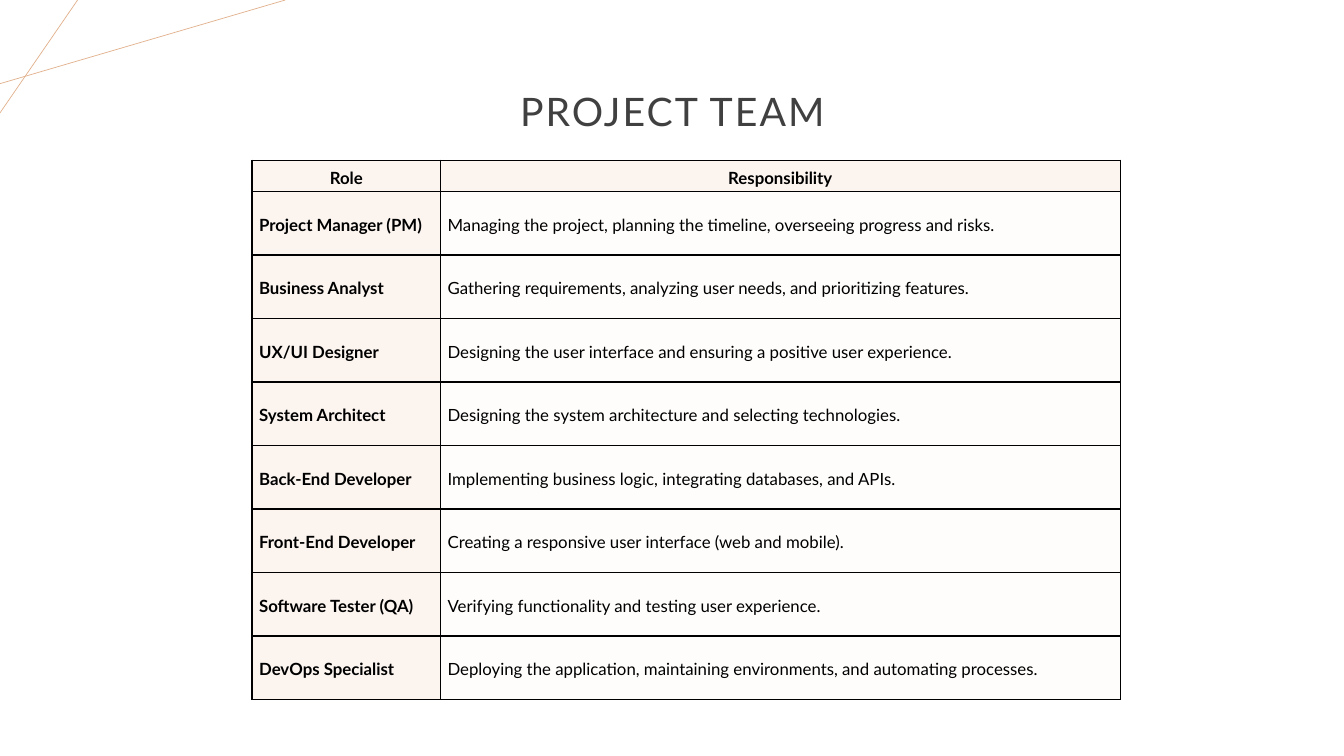
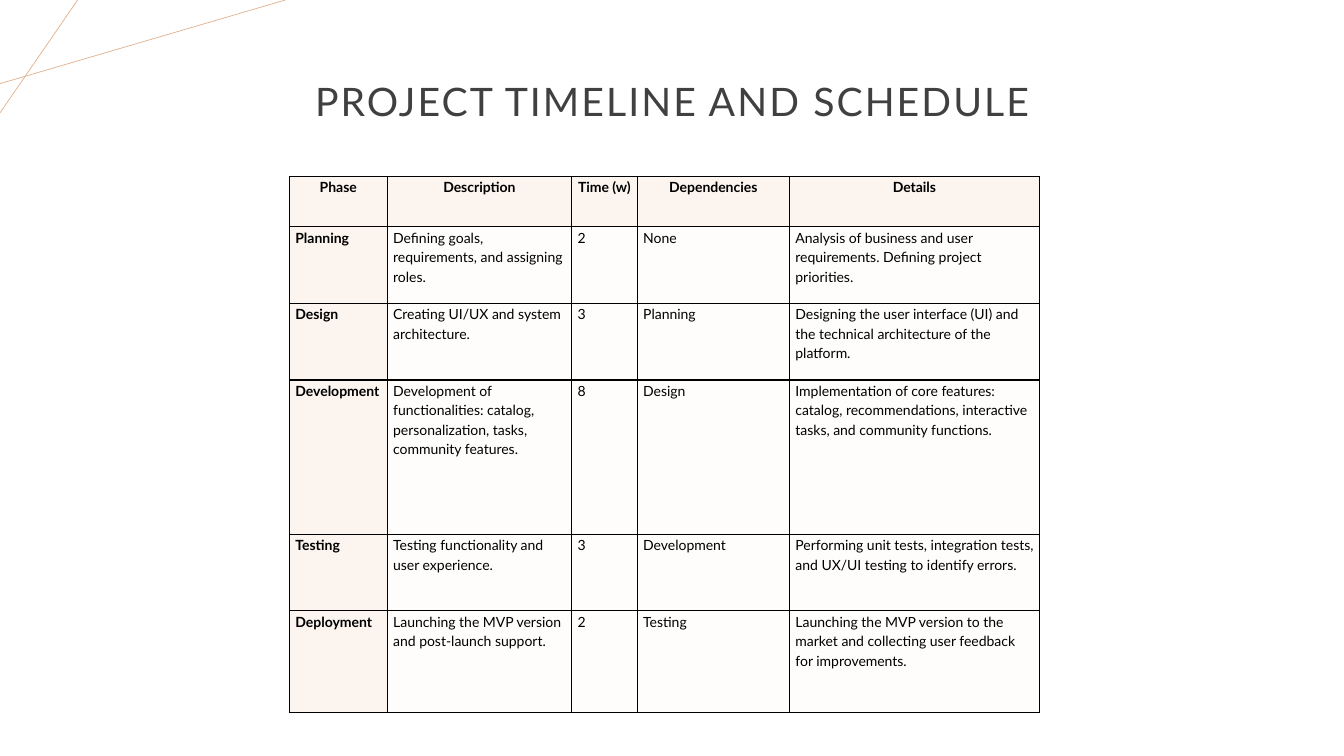
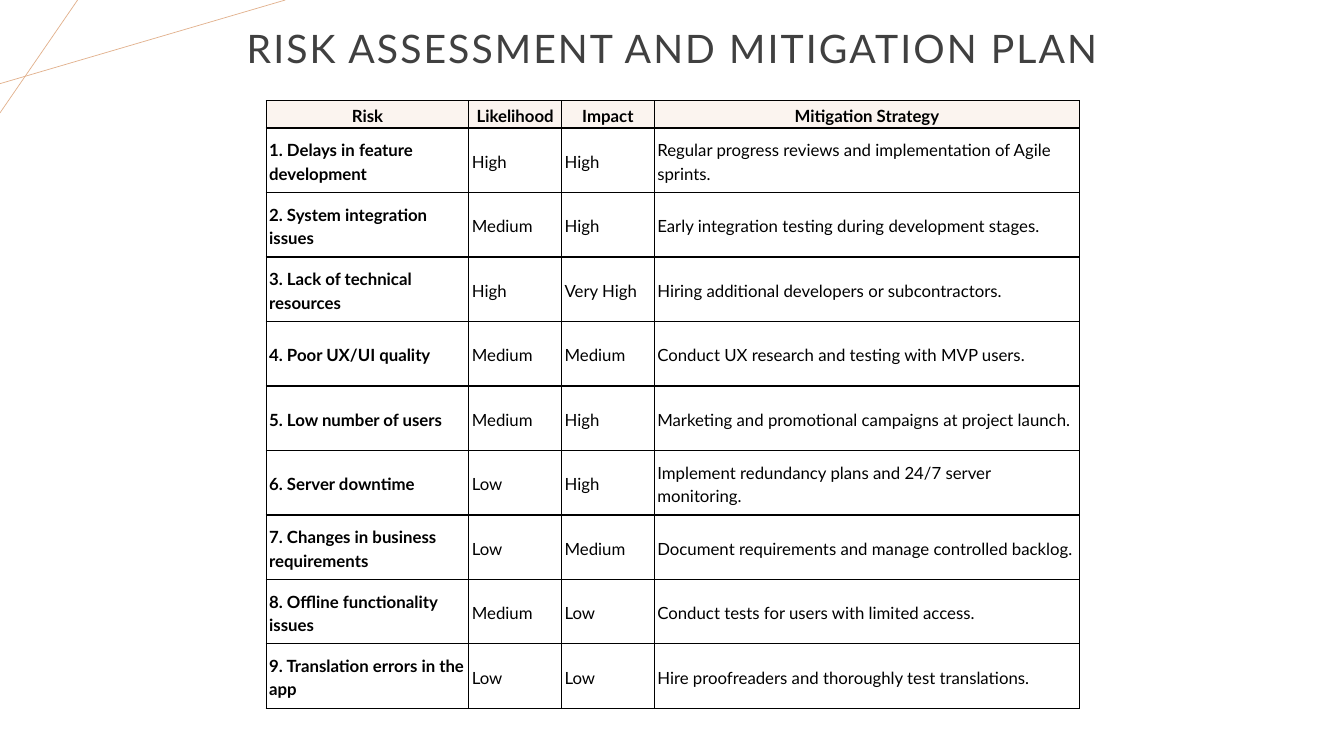
"""Builds three project slides: team, timeline and risk tables."""
from dataclasses import dataclass

from lxml.etree import SubElement
from pptx import Presentation
from pptx.dml.color import RGBColor
from pptx.enum.text import MSO_ANCHOR, PP_ALIGN
from pptx.oxml.ns import qn
from pptx.util import Inches, Pt


@dataclass(frozen=True)
class Theme:
    font: str = "Lato"
    title: str = "404040"
    text: str = "000000"
    edge: str = "000000"
    head: str = "FBF4EF"
    body: str = "FEFDFC"
    plain: str = "FFFFFF"
    accent: str = "E2B18D"
    big: int = 28
    mid: int = 12
    small: int = 10


THEME = Theme()

RAYS = [((0, 0.83), (2.83, 0)), ((0.77, 0), (0, 1.12))]

SLIDES = [
    {
        "title": "PROJECT TEAM",
        "top": 0.4, "height": 1.45,
        "at": (2.5, 1.59),
        "cols": [1.87, 6.74],
        "rows": [0.31] + [0.63] * 8,
        "size": THEME.mid, "inset": 0.07, "anchor": MSO_ANCHOR.MIDDLE,
        "side": THEME.head, "fill": THEME.body,
        "cells": [
            ("Role", "Responsibility"),
            ("Project Manager (PM)", "Managing the project, planning the timeline, overseeing progress and risks."),
            ("Business Analyst", "Gathering requirements, analyzing user needs, and prioritizing features."),
            ("UX/UI Designer", "Designing the user interface and ensuring a positive user experience."),
            ("System Architect", "Designing the system architecture and selecting technologies."),
            ("Back-End Developer", "Implementing business logic, integrating databases, and APIs."),
            ("Front-End Developer", "Creating a responsive user interface (web and mobile)."),
            ("Software Tester (QA)", "Verifying functionality and testing user experience."),
            ("DevOps Specialist", "Deploying the application, maintaining environments, and automating processes."),
        ],
    },
    {
        "title": "PROJECT TIMELINE AND SCHEDULE",
        "top": 0.3, "height": 1.45,
        "at": (2.87, 1.75),
        "cols": [0.97, 1.83, 0.65, 1.51, 2.48],
        "rows": [0.5, 0.76, 0.76, 1.53, 0.76, 1.01],
        "size": THEME.small, "inset": 0.06, "anchor": MSO_ANCHOR.TOP,
        "side": THEME.head, "fill": THEME.body,
        "cells": [
            ("Phase", "Description", "Time (w)", "Dependencies", "Details"),
            ("Planning", "Defining goals, requirements, and assigning roles.", "2", "None",
             "Analysis of business and user requirements. Defining project priorities."),
            ("Design", "Creating UI/UX and system architecture.", "3", "Planning",
             "Designing the user interface (UI) and the technical architecture of the platform."),
            ("Development", "Development of functionalities: catalog, personalization, tasks, community features.",
             "8", "Design",
             "Implementation of core features: catalog, recommendations, interactive tasks, and community functions."),
            ("Testing", "Testing functionality and user experience.", "3", "Development",
             "Performing unit tests, integration tests, and UX/UI testing to identify errors."),
            ("Deployment", "Launching the MVP version and post-launch support.", "2", "Testing",
             "Launching the MVP version to the market and collecting user feedback for improvements."),
        ],
    },
    {
        "title": "RISK ASSESSMENT AND MITIGATION PLAN",
        "top": 0, "height": 1,
        "at": (2.64, 1),
        "cols": [2.01, 0.92, 0.92, 4.22],
        "rows": [0.27] + [0.64] * 9,
        "size": THEME.mid, "inset": 0.03, "anchor": MSO_ANCHOR.MIDDLE,
        "side": THEME.plain, "fill": THEME.plain,
        "cells": [
            ("Risk", "Likelihood", "Impact", "Mitigation Strategy"),
            ("1. Delays in feature development", "High", "High",
             "Regular progress reviews and implementation of Agile sprints."),
            ("2. System integration issues", "Medium", "High",
             "Early integration testing during development stages."),
            ("3. Lack of technical resources", "High", "Very High",
             "Hiring additional developers or subcontractors."),
            ("4. Poor UX/UI quality", "Medium", "Medium", "Conduct UX research and testing with MVP users."),
            ("5. Low number of users", "Medium", "High", "Marketing and promotional campaigns at project launch."),
            ("6. Server downtime", "Low", "High", "Implement redundancy plans and 24/7 server monitoring."),
            ("7. Changes in business requirements", "Low", "Medium",
             "Document requirements and manage controlled backlog."),
            ("8. Offline functionality issues", "Medium", "Low", "Conduct tests for users with limited access."),
            ("9. Translation errors in the app", "Low", "Low", "Hire proofreaders and thoroughly test translations."),
        ],
    },
]


def apply(item, values):
    for name, value in values.items():
        setattr(item, name, value)


def write(frame, text, size, color, bold=False, **para):
    line = frame.paragraphs[0]
    apply(line, para)
    run = line.add_run()
    run.text = text
    apply(run.font, {"name": THEME.font, "size": Pt(size), "bold": bold})
    run.font.color.rgb = RGBColor.from_string(color)
    return run


def add_rays(slide):
    for start, end in RAYS:
        ray = slide.shapes.add_connector(1, *map(Inches, start + end))
        ray.line.color.rgb = RGBColor.from_string(THEME.accent)
        ray.line.width = Pt(0.5)
        SubElement(ray._element.spPr, qn("a:effectLst"))


def add_title(slide, data):
    box = slide.shapes.add_textbox(*map(Inches, (0.92, data["top"], 11.5, data["height"])))
    apply(box.text_frame, {"word_wrap": True, "vertical_anchor": MSO_ANCHOR.MIDDLE})
    run = write(box.text_frame, data["title"], THEME.big, THEME.title,
                alignment=PP_ALIGN.CENTER, line_spacing=0.9)
    run.font._element.set("spc", "150")


def add_edges(cell):
    props = cell._tc.get_or_add_tcPr()
    for side in "LRTB":
        edge = SubElement(props, qn(f"a:ln{side}"), w=str(Pt(1)))
        fill = SubElement(edge, qn("a:solidFill"))
        SubElement(fill, qn("a:srgbClr"), val=THEME.edge)


def fill_cell(cell, text, data, head, side):
    add_edges(cell)
    pad = Inches(data["inset"])
    apply(cell, {"margin_left": pad, "margin_right": pad, "margin_top": 0,
                 "margin_bottom": 0, "vertical_anchor": data["anchor"]})
    color = THEME.head if head else data["side"] if side else data["fill"]
    cell.fill.solid()
    cell.fill.fore_color.rgb = RGBColor.from_string(color)
    write(cell.text_frame, text, data["size"], THEME.text, head or side,
          alignment=PP_ALIGN.CENTER if head else PP_ALIGN.LEFT,
          line_spacing=1.16, space_after=Pt(8))


def add_grid(slide, data):
    cols, rows = data["cols"], data["rows"]
    area = map(Inches, (*data["at"], sum(cols), sum(rows)))
    table = slide.shapes.add_table(len(rows), len(cols), *area).table
    apply(table, {"first_row": False, "horz_banding": False})
    for col, width in zip(table.columns, cols):
        col.width = Inches(width)
    for row, height in zip(table.rows, rows):
        row.height = Inches(height)
    for r, texts in enumerate(data["cells"]):
        for c, text in enumerate(texts):
            fill_cell(table.cell(r, c), text, data, r == 0, c == 0)


def main():
    deck = Presentation()
    apply(deck, {"slide_width": Inches(13.33), "slide_height": Inches(7.5)})
    for data in SLIDES:
        slide = deck.slides.add_slide(deck.slide_layouts[6])
        add_rays(slide)
        add_title(slide, data)
        add_grid(slide, data)
    deck.save("out.pptx")


if __name__ == "__main__":
    main()
